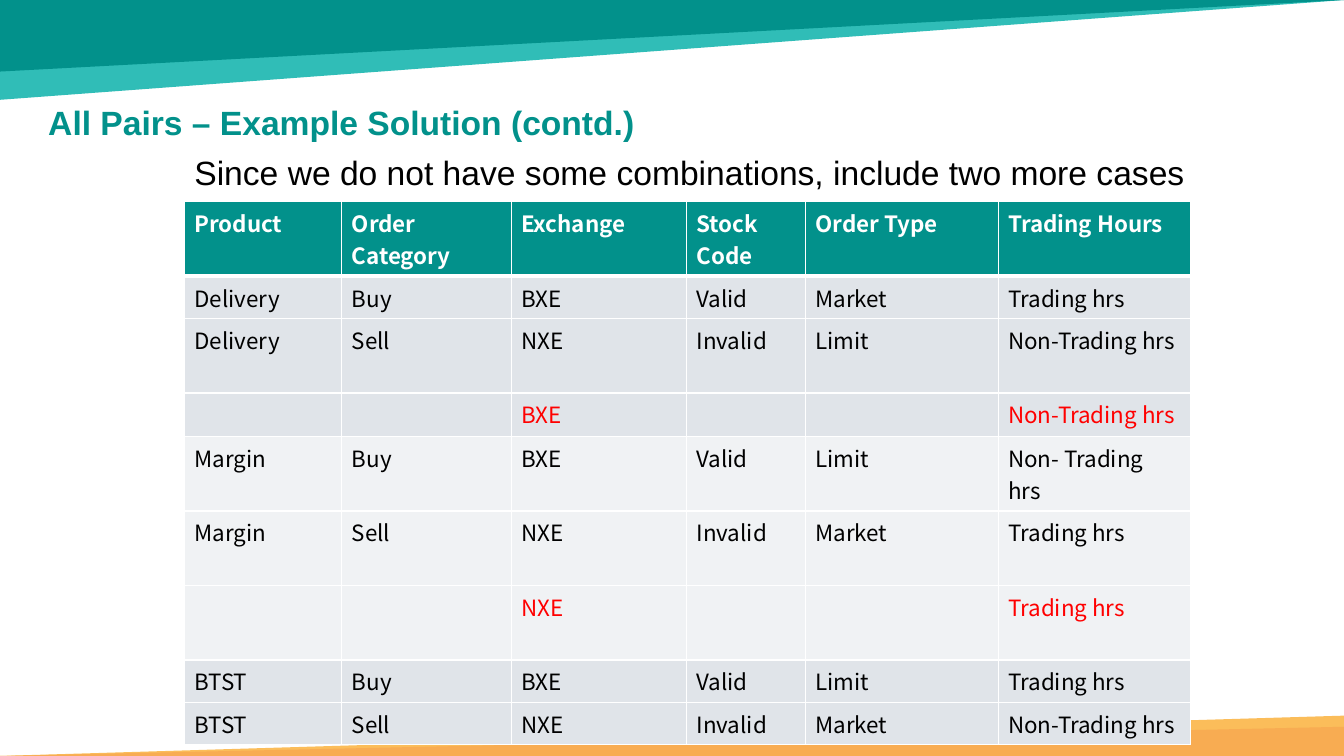
from dataclasses import dataclass

from lxml.etree import SubElement
from pptx import Presentation
from pptx.dml.color import RGBColor
from pptx.enum.shapes import MSO_SHAPE
from pptx.enum.text import MSO_ANCHOR
from pptx.oxml.ns import qn
from pptx.slide import Slide
from pptx.util import Inches, Pt

TEAL, WHITE, BLACK, RED = "02918B", "FFFFFF", "000000", "FF0000"
DARK_BAND, LIGHT_BAND = "E0E4E9", "F0F2F4"
SLIDE_WIDTH, SLIDE_HEIGHT = 13.33, 7.5


@dataclass
class Wedge:
    height: float
    color: str
    at_top: bool


@dataclass
class TextLine:
    text: str
    left: float
    top: float
    width: float
    height: float
    color: str
    bold: bool
    anchor: MSO_ANCHOR
    space_before: float


@dataclass
class TableRow:
    height: float
    fill: str
    color: str
    texts: list[str]
    is_header: bool = False


WEDGES = [
    Wedge(0.99, "30BDB7", True),
    Wedge(0.71, TEAL, True),
    Wedge(0.4, "FBBD5A", False),
    Wedge(0.29, "F8AC52", False),
]

TEXT_LINES = [
    TextLine("Since we do not have some combinations, include two more cases",
             1.83, 1.5, 10.5, 0.5, BLACK, False, MSO_ANCHOR.TOP, 5),
    TextLine("All Pairs – Example Solution (contd.)",
             0.38, 1.04, 8.79, 0.4, TEAL, True, MSO_ANCHOR.MIDDLE, 0),
]

COLUMN_WIDTHS = [1.56, 1.68, 1.74, 1.18, 1.91, 1.91]
TABLE_ROWS = [
    TableRow(0.74, TEAL, WHITE, ["Product", "Order Category", "Exchange",
                                 "Stock Code", "Order Type", "Trading Hours"], True),
    TableRow(0.42, DARK_BAND, BLACK,
             ["Delivery", "Buy", "BXE", "Valid", "Market", "Trading hrs"]),
    TableRow(0.74, DARK_BAND, BLACK,
             ["Delivery", "Sell", "NXE", "Invalid", "Limit", "Non-Trading hrs"]),
    TableRow(0.43, DARK_BAND, RED, ["", "", "BXE", "", "", "Non-Trading hrs"]),
    TableRow(0.74, LIGHT_BAND, BLACK,
             ["Margin", "Buy", "BXE", "Valid", "Limit", "Non- Trading hrs"]),
    TableRow(0.74, LIGHT_BAND, BLACK,
             ["Margin", "Sell", "NXE", "Invalid", "Market", "Trading hrs"]),
    TableRow(0.74, LIGHT_BAND, RED, ["", "", "NXE", "", "", "Trading hrs"]),
    TableRow(0.42, DARK_BAND, BLACK,
             ["BTST", "Buy", "BXE", "Valid", "Limit", "Trading hrs"]),
    TableRow(0.42, DARK_BAND, BLACK,
             ["BTST", "Sell", "NXE", "Invalid", "Market", "Non-Trading hrs"]),
]


def set_color(target, color: str) -> None:
    """Color a font, or a fill as solid."""
    if hasattr(target, "solid"):
        target.solid()
        target.fore_color.rgb = RGBColor.from_string(color)
    else:
        target.color.rgb = RGBColor.from_string(color)


def set_format(target, values: dict) -> None:
    for name, value in values.items():
        setattr(target, name, value)


def add_bottom_border(cell, color: str, points: float) -> None:
    properties = cell._tc.get_or_add_tcPr()
    border = SubElement(properties, qn("a:lnB"), w=str(Pt(points)))
    SubElement(SubElement(border, qn("a:solidFill")), qn("a:srgbClr"), val=color)
    properties.insert(0, border)


def add_wedge(slide: Slide, wedge: Wedge) -> None:
    top = 0 if wedge.at_top else SLIDE_HEIGHT - wedge.height
    shape = slide.shapes.add_shape(
        MSO_SHAPE.RIGHT_TRIANGLE, 0, Inches(top), Inches(SLIDE_WIDTH), Inches(wedge.height))
    shape.shadow.inherit = False
    set_color(shape.fill, wedge.color)
    shape.line.fill.background()
    shape.rotation = 180 if wedge.at_top else 0
    shape.element.spPr.xfrm.set("flipH", "1")


def add_text_line(slide: Slide, line: TextLine) -> None:
    box = slide.shapes.add_textbox(
        Inches(line.left), Inches(line.top), Inches(line.width), Inches(line.height))
    frame = box.text_frame
    set_format(frame, {"word_wrap": True, "vertical_anchor": line.anchor, "text": line.text})
    paragraph = frame.paragraphs[0]
    set_format(paragraph, {"line_spacing": 0.9, "space_before": Pt(line.space_before)})
    font = paragraph.runs[0].font
    set_format(font, {"name": "Arial", "size": Pt(24), "bold": line.bold})
    set_color(font, line.color)


def add_case_table(slide: Slide) -> None:
    heights = [row.height for row in TABLE_ROWS]
    table = slide.shapes.add_table(
        len(TABLE_ROWS), len(COLUMN_WIDTHS), Inches(1.83), Inches(2),
        Inches(sum(COLUMN_WIDTHS)), Inches(sum(heights))).table
    table.horz_banding = False
    for column, width in zip(table.columns, COLUMN_WIDTHS):
        column.width = Inches(width)
    for table_row, row in zip(table.rows, TABLE_ROWS):
        table_row.height = Inches(row.height)
        for cell, text in zip(table_row.cells, row.texts):
            set_color(cell.fill, row.fill)
            if row.is_header:
                add_bottom_border(cell, WHITE, 3)
            if text:
                cell.text = text
                font = cell.text_frame.paragraphs[0].runs[0].font
                set_format(font, {"name": "Noto Sans CJK KR", "size": Pt(16),
                                  "bold": row.is_header})
                set_color(font, row.color)


def main() -> None:
    presentation = Presentation()
    set_format(presentation, {"slide_width": Inches(SLIDE_WIDTH),
                              "slide_height": Inches(SLIDE_HEIGHT)})
    slide = presentation.slides.add_slide(presentation.slide_layouts[6])
    for wedge in WEDGES:
        add_wedge(slide, wedge)
    for line in TEXT_LINES:
        add_text_line(slide, line)
    add_case_table(slide)
    presentation.save("out.pptx")


if __name__ == "__main__":
    main()
